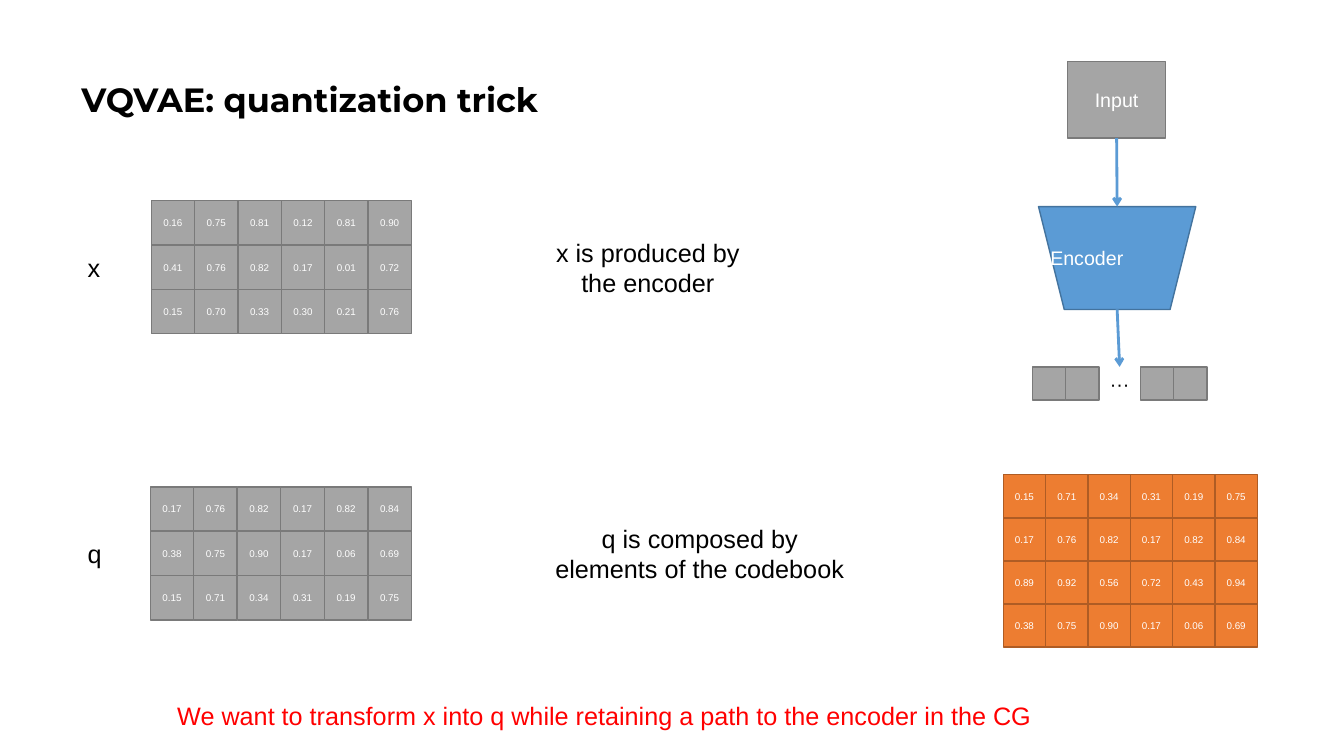
from lxml.etree import SubElement
from pptx import Presentation
from pptx.dml.color import RGBColor
from pptx.enum.shapes import MSO_CONNECTOR, MSO_SHAPE
from pptx.enum.text import MSO_ANCHOR, PP_ALIGN
from pptx.oxml.ns import qn
from pptx.util import Inches, Pt

COLORS = {
    "black": "000000", "white": "FFFFFF", "red": "FF0000",
    "gray": "A5A5A5", "gray_edge": "7A7A7A",
    "orange": "ED7D31", "orange_edge": "AF5C24",
    "blue": "5B9BD5", "blue_edge": "43739E",
}

X_ROWS = ["0.16 0.75 0.81 0.12 0.81 0.90",
          "0.41 0.76 0.82 0.17 0.01 0.72",
          "0.15 0.70 0.33 0.30 0.21 0.76"]
Q_ROWS = ["0.17 0.76 0.82 0.17 0.82 0.84",
          "0.38 0.75 0.90 0.17 0.06 0.69",
          "0.15 0.71 0.34 0.31 0.19 0.75"]
CODEBOOK_ROWS = ["0.15 0.71 0.34 0.31 0.19 0.75",
                 "0.17 0.76 0.82 0.17 0.82 0.84",
                 "0.89 0.92 0.56 0.72 0.43 0.94",
                 "0.38 0.75 0.90 0.17 0.06 0.69"]


def rgb(name):
    return RGBColor.from_string(COLORS[name])


def write(sp, text, size, color, align=PP_ALIGN.CENTER, font="Arial"):
    tf = sp.text_frame
    tf.text = text
    for p in tf.paragraphs:
        p.alignment = align
        p.font.size, p.font.name = Pt(size), font
        p.font.color.rgb = rgb(color)
    return tf


def add_label(shapes, box, text, size=18, color="black",
              align=PP_ALIGN.LEFT, wrap=False, font="Arial"):
    sp = shapes.add_textbox(*map(Inches, box))
    tf = write(sp, text, size, color, align, font)
    tf.word_wrap = wrap
    return sp


def add_block(shapes, box, color, text="", size=7, kind=MSO_SHAPE.RECTANGLE):
    sp = shapes.add_shape(kind, *map(Inches, box))
    sp.shadow.inherit = False
    sp.fill.solid()
    sp.fill.fore_color.rgb = rgb(color)
    sp.line.color.rgb = rgb(color + "_edge")
    sp.line.width = Pt(1)
    if text:
        tf = write(sp, text, size, "white")
        tf.vertical_anchor = MSO_ANCHOR.MIDDLE
        tf.margin_left = tf.margin_right = 0
    return sp


def add_arrow(shapes, start, end):
    line = shapes.add_connector(MSO_CONNECTOR.STRAIGHT,
                                *map(Inches, (*start, *end)))
    line.line.color.rgb = rgb("blue")
    line.line.width = Pt(2)
    ln = line.line._get_or_add_ln()
    SubElement(ln, qn("a:tailEnd"), type="arrow")
    SubElement(ln.getparent(), qn("a:effectLst"))
    return line


def add_matrix(slide, box, rows, color):
    """Fill the box with one cell per number."""
    x, y, w, h = box
    group = slide.shapes.add_group_shape()
    cell_h = h / len(rows)
    for i, row in enumerate(rows):
        values = row.split()
        cell_w = w / len(values)
        for j, value in enumerate(values):
            cell = (x + j * cell_w, y + i * cell_h, cell_w, cell_h)
            add_block(group.shapes, cell, color, value)


def add_code_strip(slide, box):
    """Two squares, an ellipsis and two more squares; returns the ellipsis."""
    x, y, w, side = box
    group = slide.shapes.add_group_shape()
    for left in (x, x + side, x + w - 2 * side, x + w - side):
        add_block(group.shapes, (left, y, side, side), "gray")
    gap = (x + 2 * side, y, w - 4 * side, side)
    return add_label(group.shapes, gap, "···", 14,
                     align=PP_ALIGN.CENTER, wrap=True)


def add_encoder_flow(slide, box):
    """Input, encoder and output codes, stacked in the box."""
    x, y, w, h = box
    shapes = slide.shapes
    mid = x + 0.84
    source = add_block(shapes, (mid - 0.49, y, 0.97, 0.76), "gray", "Input", 14)

    enc_y, enc_w, enc_h = y + 1.44, 1.56, 1.02
    encoder = add_block(shapes, (mid - enc_w / 2, enc_y, enc_w, enc_h), "blue",
                        kind=MSO_SHAPE.TRAPEZOID)
    encoder.rotation = 180
    name = add_label(shapes, (mid - 0.8, enc_y, 1, enc_h), "Encoder", 14,
                     "white", PP_ALIGN.CENTER)
    name.text_frame.vertical_anchor = MSO_ANCHOR.MIDDLE

    strip_y = y + h - 0.33
    dots = add_code_strip(slide, (x, strip_y, w, 0.33))
    add_arrow(shapes, (mid, y + 0.76), (mid, enc_y)).begin_connect(source, 2)
    add_arrow(shapes, (mid, enc_y + enc_h),
              (x + w / 2, strip_y)).end_connect(dots, 0)


def add_variable_row(slide, box, name, rows, note, note_x, note_w):
    """Variable name, its matrix and an explanation on one line."""
    x, y, w, h = box
    mid = y + h / 2
    add_label(slide.shapes, (0.77, mid - 0.2, 0.35, 0.4), name)
    add_matrix(slide, box, rows, "gray")
    add_label(slide.shapes, (note_x, mid - 0.35, note_w, 0.71), note,
              align=PP_ALIGN.CENTER)


def add_title(slide, box, text):
    sp = add_label(slide.shapes, box, text, 24, wrap=True, font="Montserrat")
    sp.text_frame.vertical_anchor = MSO_ANCHOR.MIDDLE
    p = sp.text_frame.paragraphs[0]
    p.font.bold = True
    p.line_spacing = 0.9


def main():
    prs = Presentation()
    prs.slide_width, prs.slide_height = Inches(13.33), Inches(7.5)
    slide = prs.slides.add_slide(prs.slide_layouts[6])

    add_title(slide, (0.71, 0.28, 11.5, 1.45), "VQVAE: quantization trick")
    # Encoder output and its quantized version
    add_variable_row(slide, (1.5, 1.99, 2.58, 1.32), "x", X_ROWS,
                     "x is produced by\nthe encoder", 5.25, 2.35)
    add_variable_row(slide, (1.49, 4.83, 2.59, 1.32), "q", Q_ROWS,
                     "q is composed by\nelements of the codebook", 5.21, 3.46)
    # Encoder diagram and codebook
    add_encoder_flow(slide, (10.24, 0.61, 1.73, 3.36))
    add_matrix(slide, (9.95, 4.71, 2.52, 1.71), CODEBOOK_ROWS, "orange")
    # Closing remark
    add_label(slide.shapes, (1.66, 6.9, 9.9, 0.4),
              "We want to transform x into q while retaining a path "
              "to the encoder in the CG", color="red")

    prs.save("out.pptx")


if __name__ == "__main__":
    main()
